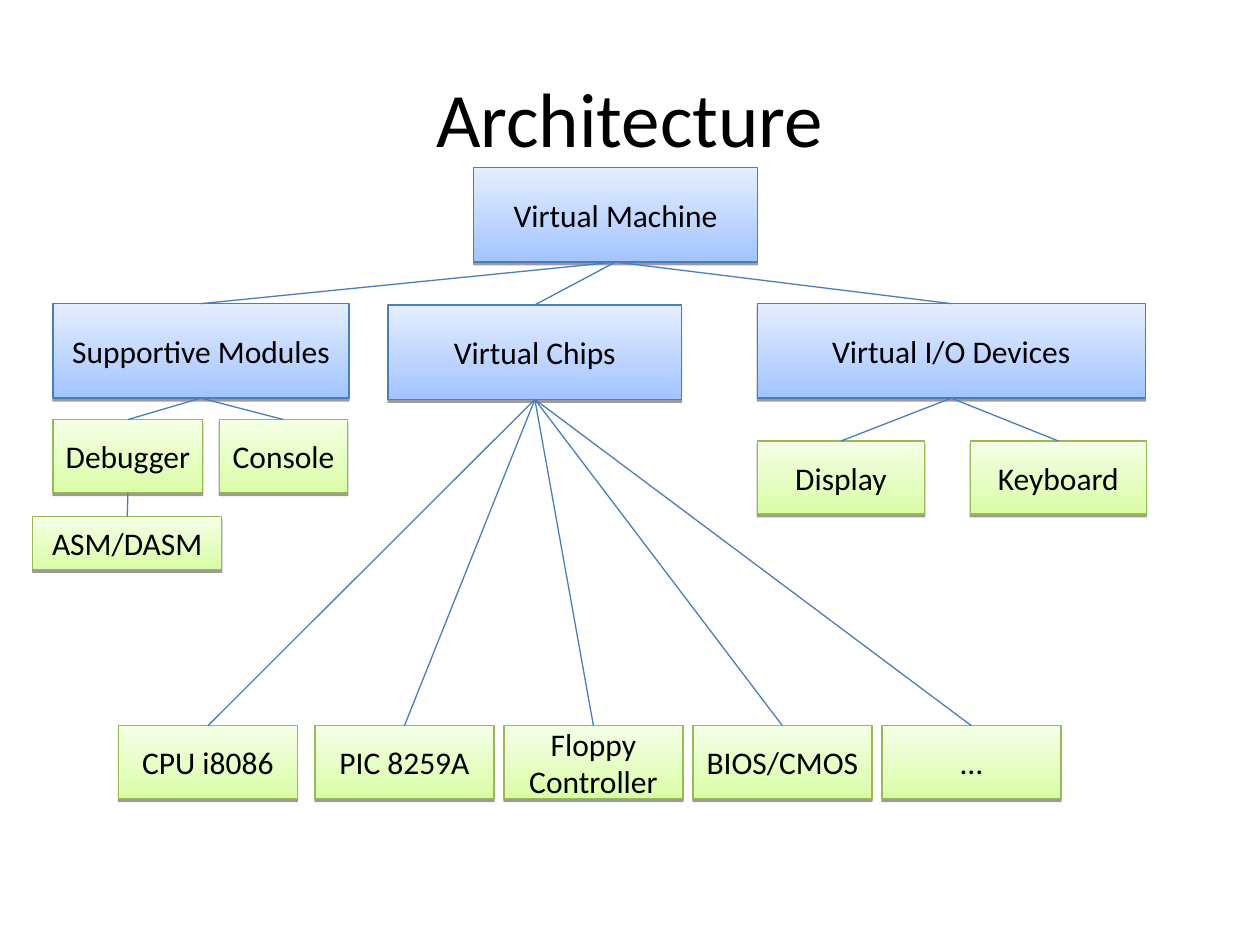
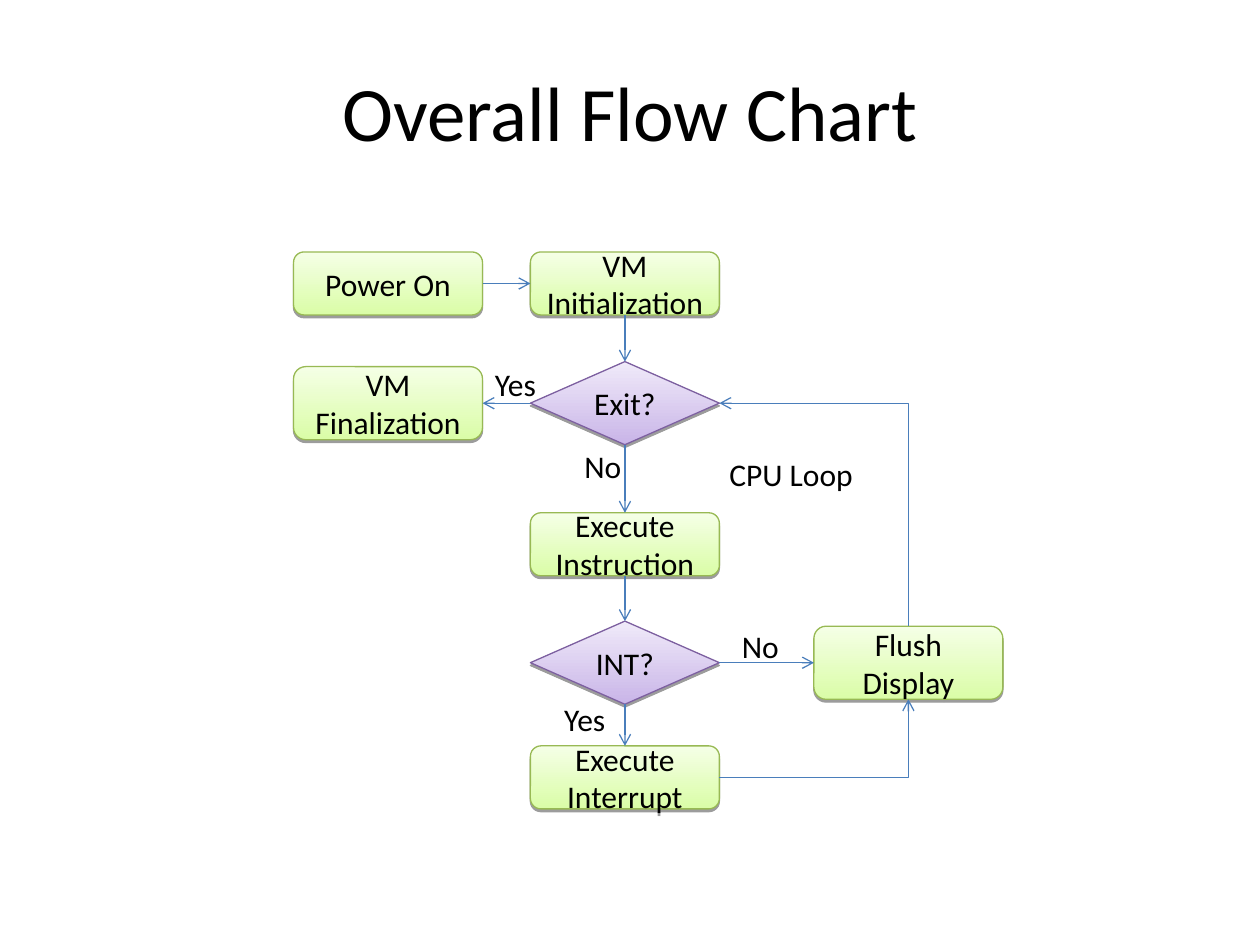
from lxml import etree
from pptx import Presentation
from pptx import util as u
from pptx.dml.color import RGBColor
from pptx.enum import shapes, text
from pptx.oxml.ns import qn

PX = 9144  # EMU per px, 100 px to the inch
FONT = "Calibri"
COLORS = {
    "text": "000000",
    "link": "4A7EBB",
    "shadow": "000000",
}
# Box styles: gradient from bottom to top, and outline
STYLES = {
    "blue": ("A3C4FF", "E5EEFF", "4A7EBB"),
    "green": ("DAFDA7", "F5FFE6", "98B954"),
    "purple": ("C9B5E8", "F0EAF9", "7D60A0"),
}
RECT = shapes.MSO_SHAPE.RECTANGLE
ROUNDED = shapes.MSO_SHAPE.ROUNDED_RECTANGLE
DIAMOND = shapes.MSO_SHAPE.DIAMOND
TOP, LEFT, BOTTOM, RIGHT = range(4)


def rgb(value):
    return RGBColor.from_string(value)


def px(*values):
    return [u.Emu(v * PX) for v in values]


def write(tf, content, size=18, align=text.PP_ALIGN.CENTER,
          anchor=text.MSO_ANCHOR.MIDDLE):
    tf.word_wrap = True
    tf.vertical_anchor = anchor
    tf.text = content
    for p in tf.paragraphs:
        p.alignment = align
        for r in p.runs:
            r.font.name = FONT
            r.font.size = u.Pt(size)
            r.font.color.rgb = rgb(COLORS["text"])


def add_title(s, content, y):
    sp = s.shapes.add_textbox(*px(50, y, 900, 125))
    write(sp.text_frame, content, 44)


def add_label(s, content, x, y, w=54):
    sp = s.shapes.add_textbox(*px(x, y, w, 40))
    write(sp.text_frame, content, align=text.PP_ALIGN.LEFT,
          anchor=text.MSO_ANCHOR.TOP)
    sp.text_frame.auto_size = text.MSO_AUTO_SIZE.SHAPE_TO_FIT_TEXT


def add_shadow(sp):
    sp.shadow.inherit = False
    effects = sp._element.spPr.find(qn("a:effectLst"))
    shadow = etree.SubElement(effects, qn("a:outerShdw"), blurRad="0",
                              dist="20320", dir="5400000", rotWithShape="0")
    color = etree.SubElement(shadow, qn("a:srgbClr"), val=COLORS["shadow"])
    etree.SubElement(color, qn("a:alpha"), val="38000")


def add_box(s, content, style, x, y, w, h, kind=RECT):
    bottom, top, outline = STYLES[style]
    sp = s.shapes.add_shape(kind, *px(x, y, w, h))
    sp.fill.gradient()
    sp.fill.gradient_angle = 90
    for stop, color in zip(sp.fill.gradient_stops, (bottom, top)):
        stop.color.rgb = rgb(color)
    sp.line.color.rgb = rgb(outline)
    sp.line.width = u.Pt(0.75)
    add_shadow(sp)
    write(sp.text_frame, content)
    return sp


def add_link(s, start, start_side, end, end_side, arrow=None, bent=False):
    """Join two boxes; arrow is None, "headEnd" (start) or "tailEnd" (end)."""
    kind = shapes.MSO_CONNECTOR.ELBOW if bent else shapes.MSO_CONNECTOR.STRAIGHT
    link = s.shapes.add_connector(kind, 0, 0, 0, 0)
    link.begin_connect(start, start_side)
    link.end_connect(end, end_side)
    link.line.color.rgb = rgb(COLORS["link"])
    link.line.width = u.Pt(0.75)
    props = link._element.spPr
    if bent:  # one corner only
        props.find(qn("a:prstGeom")).set("prst", "bentConnector2")
    if arrow:
        etree.SubElement(props.find(qn("a:ln")), qn(f"a:{arrow}"), type="arrow")
    etree.SubElement(props, qn("a:effectLst"))


def build_architecture(s):
    add_title(s, "Architecture", 30)

    # Machine and its three groups
    machine = add_box(s, "Virtual Machine", "blue", 376, 133, 225, 75)
    modules = add_box(s, "Supportive Modules", "blue", 42, 241, 235, 75)
    chips = add_box(s, "Virtual Chips", "blue", 308, 242, 233, 75)
    devices = add_box(s, "Virtual I/O Devices", "blue", 601, 241, 308, 75)

    # Parts of each group
    debugger = add_box(s, "Debugger", "green", 42, 333, 119, 58)
    console = add_box(s, "Console", "green", 174, 333, 102, 58)
    assembler = add_box(s, "ASM/DASM", "green", 26, 410, 150, 42)
    display = add_box(s, "Display", "green", 601, 350, 133, 58)
    keyboard = add_box(s, "Keyboard", "green", 770, 350, 140, 58)
    chip_row = [("CPU i8086", 94), ("PIC 8259A", 250),
                ("Floppy Controller", 400), ("BIOS/CMOS", 550), ("…", 700)]
    chip_boxes = [add_box(s, name, "green", x, 576, 142, 58)
                  for name, x in chip_row]

    # Tree lines
    tree = [
        (machine, [modules, chips, devices]),
        (modules, [debugger, console]),
        (debugger, [assembler]),
        (chips, chip_boxes),
        (devices, [display, keyboard]),
    ]
    for parent, children in tree:
        for child in children:
            add_link(s, parent, BOTTOM, child, TOP)


def build_flow_chart(s):
    add_title(s, "Overall Flow Chart", 25)
    left, middle, right = 233, 421, 646

    def step(content, x, y, h=50):
        return add_box(s, content, "green", x, y, 150, h, ROUNDED)

    def decision(content, y):
        return add_box(s, content, "purple", middle, y, 150, 66, DIAMOND)

    # Steps and decisions
    power_on = step("Power On", left, 200)
    initialize = step("VM\nInitialization", middle, 200)
    exit_test = decision("Exit?", 287)
    finalize = step("VM\nFinalization", left, 291, 58)
    execute = step("Execute Instruction", middle, 407)
    int_test = decision("INT?", 493)
    interrupt = step("Execute Interrupt", middle, 592)
    flush = step("Flush Display", right, 497, 58)

    # Straight arrows
    add_link(s, power_on, RIGHT, initialize, LEFT, "tailEnd")
    add_link(s, exit_test, LEFT, finalize, RIGHT, "tailEnd")
    add_link(s, int_test, RIGHT, flush, LEFT, "tailEnd")
    column = [initialize, exit_test, execute, int_test, interrupt]
    for upper, lower in zip(column, column[1:]):
        add_link(s, upper, BOTTOM, lower, TOP, "tailEnd")

    # Bent arrows of the loop
    add_link(s, interrupt, RIGHT, flush, BOTTOM, "tailEnd", bent=True)
    add_link(s, exit_test, RIGHT, flush, TOP, "headEnd", bent=True)

    # Branch labels
    add_label(s, "Yes", 383, 285)
    add_label(s, "No", 454, 350)
    add_label(s, "Yes", 438, 551)
    add_label(s, "No", 579, 493)
    add_label(s, "CPU Loop", 569, 356, 129)


def main():
    prs = Presentation()
    prs.slide_width, prs.slide_height = px(1000, 750)
    for build in (build_architecture, build_flow_chart):
        build(prs.slides.add_slide(prs.slide_layouts[6]))
    prs.save("out.pptx")


if __name__ == "__main__":
    main()
